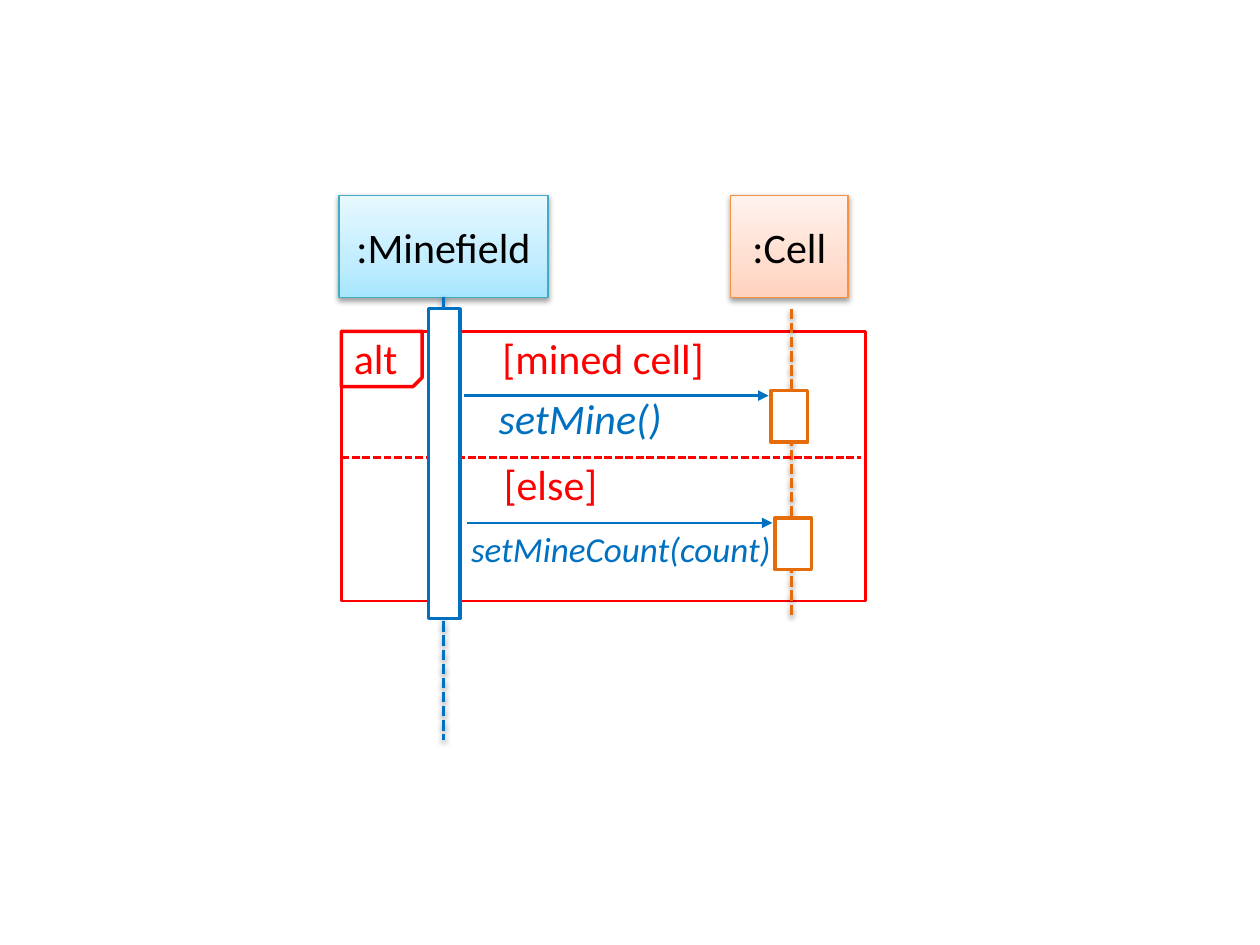
import pptx
import pptx.dml.color
import pptx.enum.dml
import pptx.enum.shapes
import pptx.enum.text
import pptx.oxml
import pptx.oxml.ns
import pptx.util
from lxml import etree

prs = pptx.Presentation()
prs.slide_width = pptx.util.Inches(10)
prs.slide_height = pptx.util.Inches(7.5)
col = prs.slide_width / 100
row = prs.slide_height / 75
s = prs.slides.add_slide(prs.slide_layouts[6])
shapes = s.shapes

qn = pptx.oxml.ns.qn
rgb = pptx.dml.color.RGBColor.from_string
kinds = pptx.enum.shapes.MSO_SHAPE
RED, BLUE, ORANGE = "FF0000", "0070C0", "E46C0A"
NS = pptx.oxml.ns.nsdecls("a")
SHADOW = (f'<a:outerShdw {NS} blurRad="40000" dist="20000" dir="5400000" rotWithShape="0">'
          '<a:srgbClr val="000000"><a:alpha val="38000"/></a:srgbClr></a:outerShdw>')


def box(x, y, w, h, color, width, kind=kinds.RECTANGLE):
    sp = shapes.add_shape(kind, int(x * col), int(y * row), int(w * col), int(h * row))
    sp.shadow.inherit = False
    sp.fill.solid()
    sp.fill.fore_color.rgb = rgb("FFFFFF")
    sp.line.color.rgb = rgb(color)
    sp.line.width = pptx.util.Pt(width)
    return sp


def line(x1, y1, x2, y2, color, width, dashed=False, arrow=False, shadow=False):
    c = shapes.add_connector(pptx.enum.shapes.MSO_CONNECTOR.STRAIGHT,
                             int(x1 * col), int(y1 * row), int(x2 * col), int(y2 * row))
    c.line.color.rgb = rgb(color)
    c.line.width = pptx.util.Pt(width)
    if dashed:
        c.line.dash_style = pptx.enum.dml.MSO_LINE.SQUARE_DOT
    spPr = c._element.spPr
    if arrow:
        etree.SubElement(spPr.find(qn("a:ln")), qn("a:tailEnd"), type="triangle")
    effects = etree.SubElement(spPr, qn("a:effectLst"))
    if shadow:
        effects.append(pptx.oxml.parse_xml(SHADOW))
    return c


box(27.1, 26.3, 41.6, 21.4, RED, 1.5)
line(62.8, 24.5, 62.8, 49.1, ORANGE, 2, dashed=True, shadow=True)

heads = []
for name, x, w, color, stops in [
    (":Cell", 58, 9.3, "F69240", ("FFD2BD", "FFDED0", "FFF2ED")),
    (":Minefield", 26.9, 16.6, "46AAC5", ("A7E6FF", "C1EDFF", "E7F8FF")),
]:
    sp = box(x, 15.5, w, 8.1, color, 0.75)
    spPr = sp._element.spPr
    gs = "".join(f'<a:gs pos="{pos}"><a:srgbClr val="{stop}"/></a:gs>'
                 for pos, stop in zip((0, 35000, 100000), stops))
    spPr.replace(spPr.find(qn("a:solidFill")), pptx.oxml.parse_xml(
        f'<a:gradFill {NS} rotWithShape="1"><a:gsLst>{gs}</a:gsLst>'
        '<a:lin ang="16200000" scaled="1"/></a:gradFill>'))
    spPr.find(qn("a:effectLst")).append(pptx.oxml.parse_xml(SHADOW))
    tf = sp.text_frame
    tf.margin_left = tf.margin_right = int(col)
    tf.margin_top = tf.margin_bottom = int(2 * row)
    tf.word_wrap = True
    tf.text = name
    p = tf.paragraphs[0]
    p.alignment = pptx.enum.text.PP_ALIGN.CENTER
    r = p.runs[0]
    r.font.name = "Calibri"
    r.font.size = pptx.util.Pt(24)
    r.font.color.rgb = rgb("000000")
    heads.append(sp)

label = box(27.1, 26.3, 6.4, 4.4, RED, 2, kinds.SNIP_1_RECTANGLE)
label._element.spPr.find(qn("a:xfrm")).set("flipV", "1")

for x, y in [(36.8, 31.4), (37.1, 41.5)]:
    line(x, y, x + 24.2, y, BLUE, 1.5, arrow=True)
    box(x + 24.4, y - 0.4, 2.9, 4.1, ORANGE, 2)

line(27.1, 36.3, 68.3, 36.3, RED, 1.5, dashed=True)
lifeline = line(35.2, 23.6, 35.2, 58.7, BLUE, 2, dashed=True, shadow=True)
lifeline.begin_connect(heads[1], 2)
box(34, 24.5, 2.5, 24.6, BLUE, 2)

for text, x, y, w, h, size, color, italic, anchor in [
    ("alt\t[mined cell]", 27.1, 26.3, 40.7, 4.2, 24, RED, False, "MIDDLE"),
    ("setMine()", 38.6, 30.7, 20, 5, 24, BLUE, True, "TOP"),
    ("setMineCount(count)", 36.4, 41.4, 26.1, 4.4, 20, BLUE, True, "TOP"),
    ("[else]", 39, 36.3, 10.6, 4.2, 24, RED, False, "MIDDLE"),
]:
    tb = shapes.add_textbox(int(x * col), int(y * row), int(w * col), int(h * row))
    tf = tb.text_frame
    tf.word_wrap = True
    tf.vertical_anchor = pptx.enum.text.MSO_ANCHOR[anchor]
    tf.text = text
    p = tf.paragraphs[0]
    if "\t" in text:
        tabs = etree.SubElement(p._p.get_or_add_pPr(), qn("a:tabLst"))
        etree.SubElement(tabs, qn("a:tab"), pos=str(int(11.8 * col)), algn="l")
    r = p.runs[0]
    r.font.name = "Calibri"
    r.font.size = pptx.util.Pt(size)
    r.font.italic = italic
    r.font.color.rgb = rgb(color)

prs.save("out.pptx")
